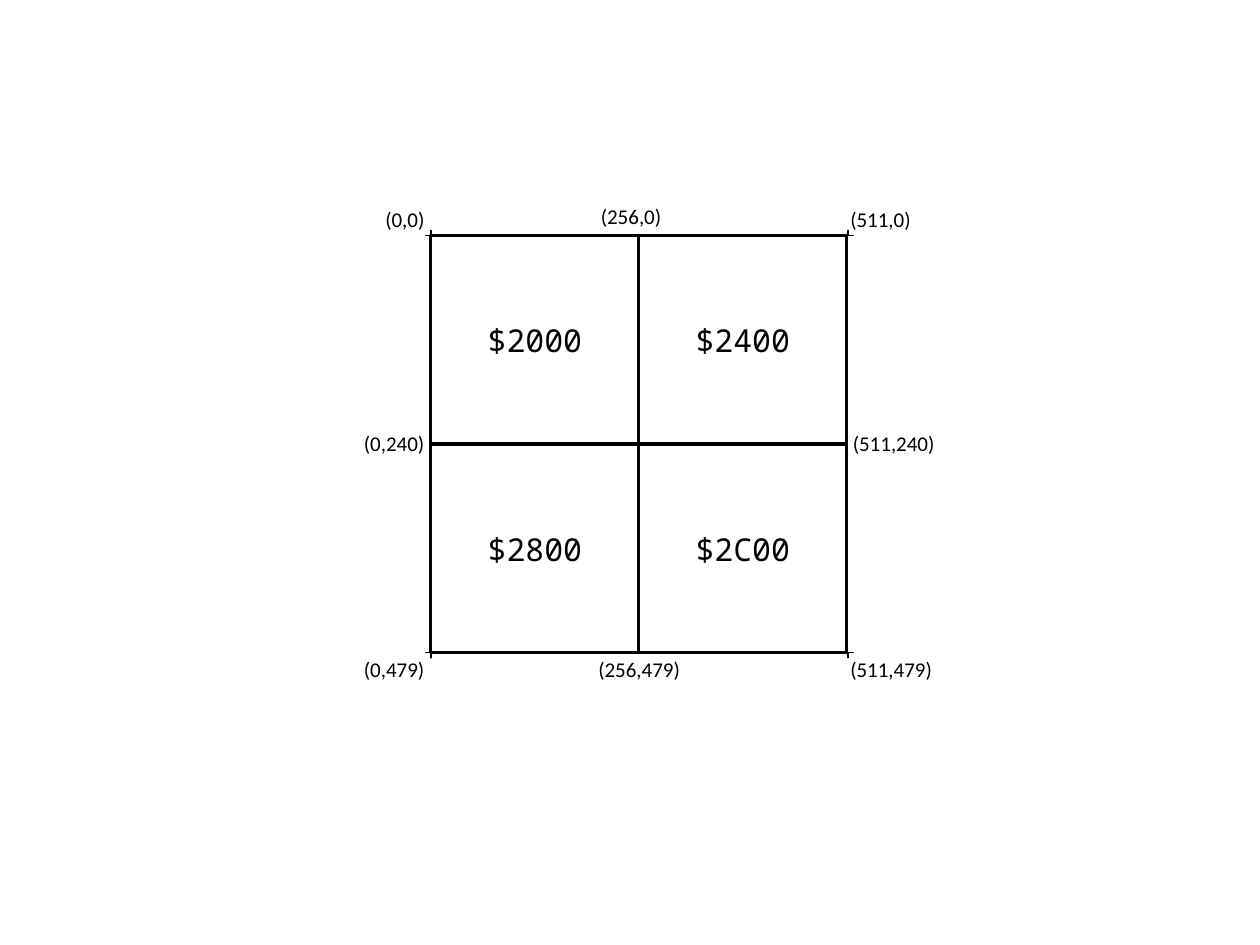
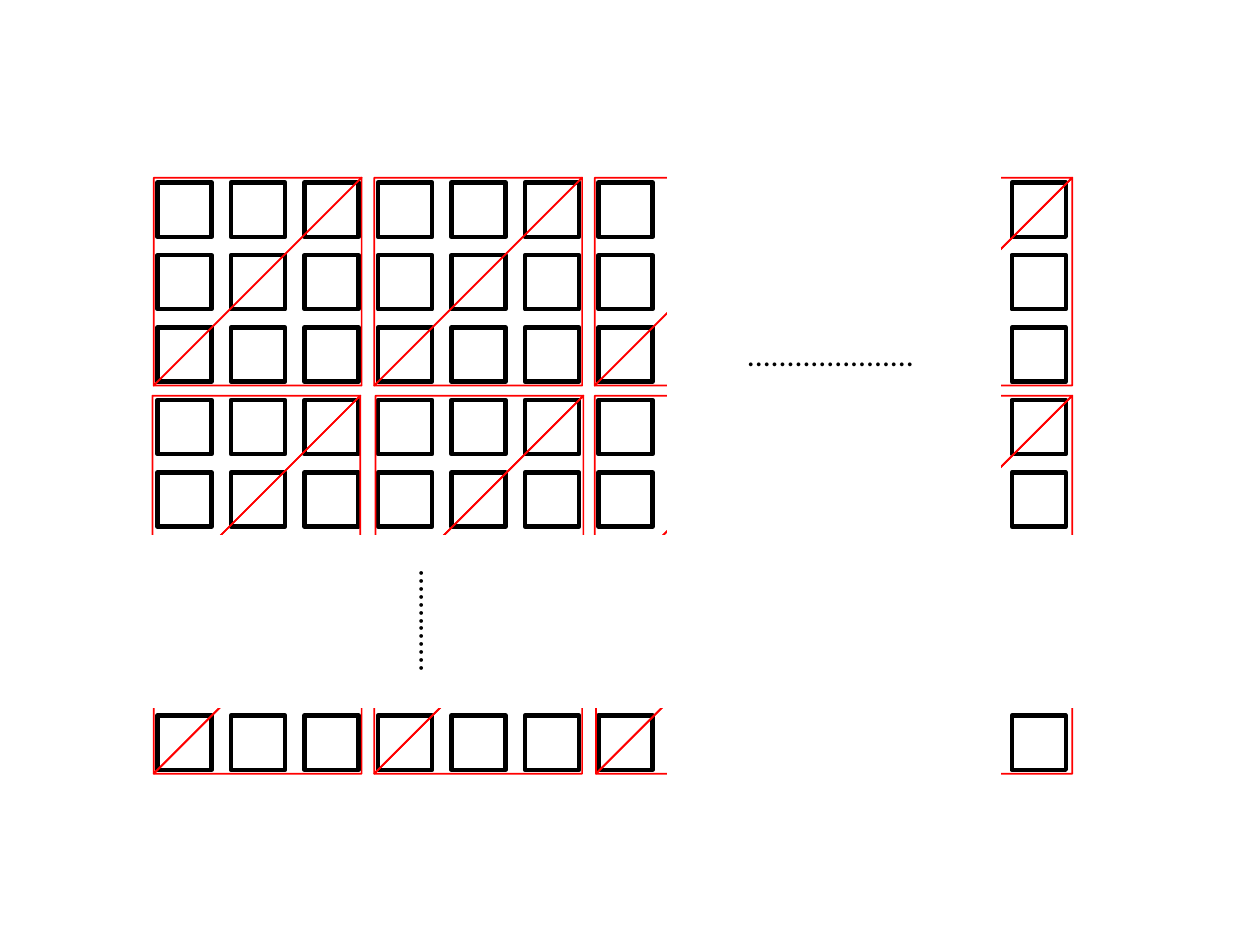
import pptx
import pptx.util
import pptx.dml.color
import pptx.enum.shapes
import pptx.enum.text

Inches = pptx.util.Inches
SHAPES = pptx.enum.shapes.MSO_SHAPE
ALIGN = pptx.enum.text.PP_ALIGN
ANCHOR = pptx.enum.text.MSO_ANCHOR

BLACK, WHITE, RED = "000000", "FFFFFF", "FF0000"
LABEL_FONT, CODE_FONT = "Calibri", "Noto Sans Mono"

# Slide 1: four name tables with their corner coordinates
TABLE_SIZE = 1.65
TABLE_LEFTS = (3.42, 5.07)
TABLE_TOPS = (1.87, 3.53)
ADDRESSES = (("$2000", "$2400"), ("$2800", "$2C00"))
MARK_SIZE = 0.04
CORNER_MARKS = (  # left, top, rotation
    (3.38, 1.83, 180), (3.38, 5.18, 90), (6.73, 1.83, 270), (6.73, 5.18, 0))
COORDINATES = (  # text, left, top
    ("(0,0)", 2.96, 1.59), ("(256,0)", 4.67, 1.57), ("(511,0)", 6.65, 1.59),
    ("(0,240)", 2.79, 3.37), ("(511,240)", 6.67, 3.37),
    ("(0,479)", 2.79, 5.16), ("(256,479)", 4.65, 5.16), ("(511,479)", 6.65, 5.16))

# Slide 2: pixel squares covered by pairs of triangles
PIXEL_SIZE = 0.43
PIXEL_LEFTS = [1.25 + 3.5 / 6 * column for column in range(7)] + [8.03]
PIXEL_TOPS = [1.45 + 0.575 * row for row in range(5)] + [5.68]
QUAD_SIZE = 1.65
QUAD_ROWS = (  # top, lefts
    (1.41, (1.22, 2.97, 4.72, 6.86)),
    (3.14, (1.21, 2.98, 4.72, 6.86)),
    (4.49, (1.22, 2.97, 4.73, 6.86)))
GAPS = ((5.3, 0.66, 2.64, 5.97), (1.18, 4.25, 7.67, 1.36))
ELLIPSES = (  # dot count, left, top, width, height, rotation
    (21, 5.83, 2.61, 1.53, 0.4, 0), (13, 2.92, 4.73, 1.02, 0.4, 90))


def color(value):
    """Turn a hex string into a colour."""
    return pptx.dml.color.RGBColor.from_string(value)


def set_all(target, values):
    """Set each attribute named in a dict."""
    for name, value in values.items():
        setattr(target, name, value)


def write(shape, text, font, size, align):
    """Write one black line of text into a shape."""
    para = shape.text_frame.paragraphs[0]
    para.alignment = align
    span = para.add_run()
    span.text = text
    set_all(span.font, {"name": font, "size": pptx.util.Pt(size)})
    span.font.color.rgb = color(BLACK)


def add_shape(page, kind, area, fill, line, weight, rotation=0, adjust=()):
    """Add a preset shape; a fill of None leaves it open."""
    shape = page.shapes.add_shape(kind, *map(Inches, area))
    shape.shadow.inherit = False
    shape.rotation = rotation
    for index, value in enumerate(adjust):
        shape.adjustments[index] = value
    if fill is None:
        shape.fill.background()
    else:
        shape.fill.solid()
        shape.fill.fore_color.rgb = color(fill)
    shape.line.color.rgb = color(line)
    shape.line.width = pptx.util.Pt(weight)
    return shape


def add_label(page, text, area, size, rotation=0):
    """Add an unwrapped text box that fits its text."""
    box = page.shapes.add_textbox(*map(Inches, area))
    box.rotation = rotation
    set_all(box.text_frame, {
        "word_wrap": False,
        "auto_size": pptx.enum.text.MSO_AUTO_SIZE.SHAPE_TO_FIT_TEXT})
    write(box, text, LABEL_FONT, size, ALIGN.LEFT)


def build_name_tables(page):
    """Draw the two by two address map."""
    for column, left in enumerate(TABLE_LEFTS):
        for row, top in enumerate(TABLE_TOPS):
            table = add_shape(page, SHAPES.RECTANGLE,
                              (left, top, TABLE_SIZE, TABLE_SIZE),
                              WHITE, BLACK, 1.75)
            table.text_frame.vertical_anchor = ANCHOR.MIDDLE
            write(table, ADDRESSES[row][column], CODE_FONT, 18, ALIGN.CENTER)
    for left, top, rotation in CORNER_MARKS:
        add_shape(page, SHAPES.HALF_FRAME, (left, top, MARK_SIZE, MARK_SIZE),
                  BLACK, BLACK, 1, rotation, (0, 0))
    for text, left, top in COORDINATES:
        width = 0.09 + 0.085 * len(text)
        add_label(page, text, (left, top, width, 0.3), 12)


def build_pixel_quads(page):
    """Draw the pixel grid, its triangles and the elided parts."""
    for top in PIXEL_TOPS:
        for left in PIXEL_LEFTS:
            add_shape(page, SHAPES.RECTANGLE,
                      (left, top, PIXEL_SIZE, PIXEL_SIZE), WHITE, BLACK, 2.5)
    for top, lefts in QUAD_ROWS:
        for left in lefts:
            for rotation in (0, 180):
                add_shape(page, SHAPES.ISOSCELES_TRIANGLE,
                          (left, top, QUAD_SIZE, QUAD_SIZE),
                          None, RED, 1, rotation, (1,))
    for area in GAPS:
        add_shape(page, SHAPES.RECTANGLE, area, WHITE, WHITE, 1)
    for count, *area, rotation in ELLIPSES:
        add_label(page, "." * count, area, 18, rotation)


deck = pptx.Presentation()
set_all(deck, {"slide_width": Inches(10), "slide_height": Inches(7.5)})
blank = deck.slide_layouts[6]
for build in (build_name_tables, build_pixel_quads):
    build(deck.slides.add_slide(blank))
deck.save("out.pptx")
